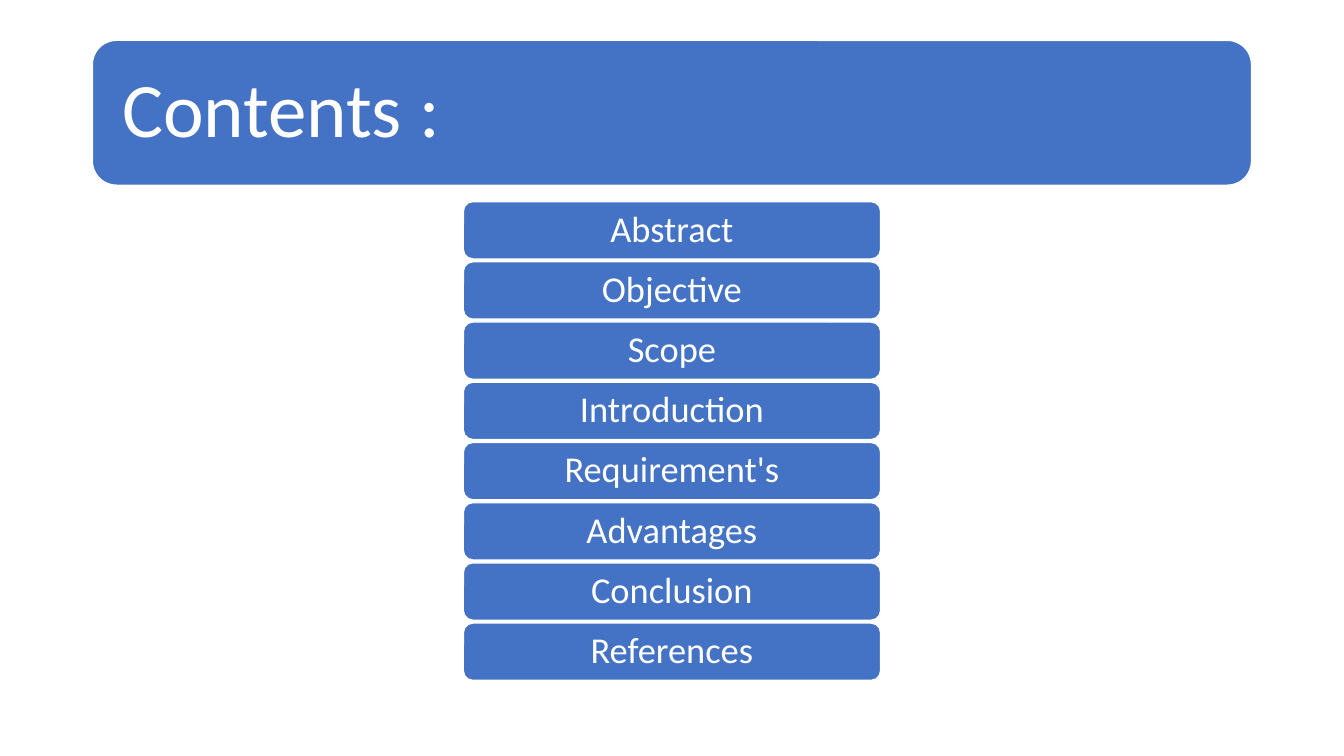
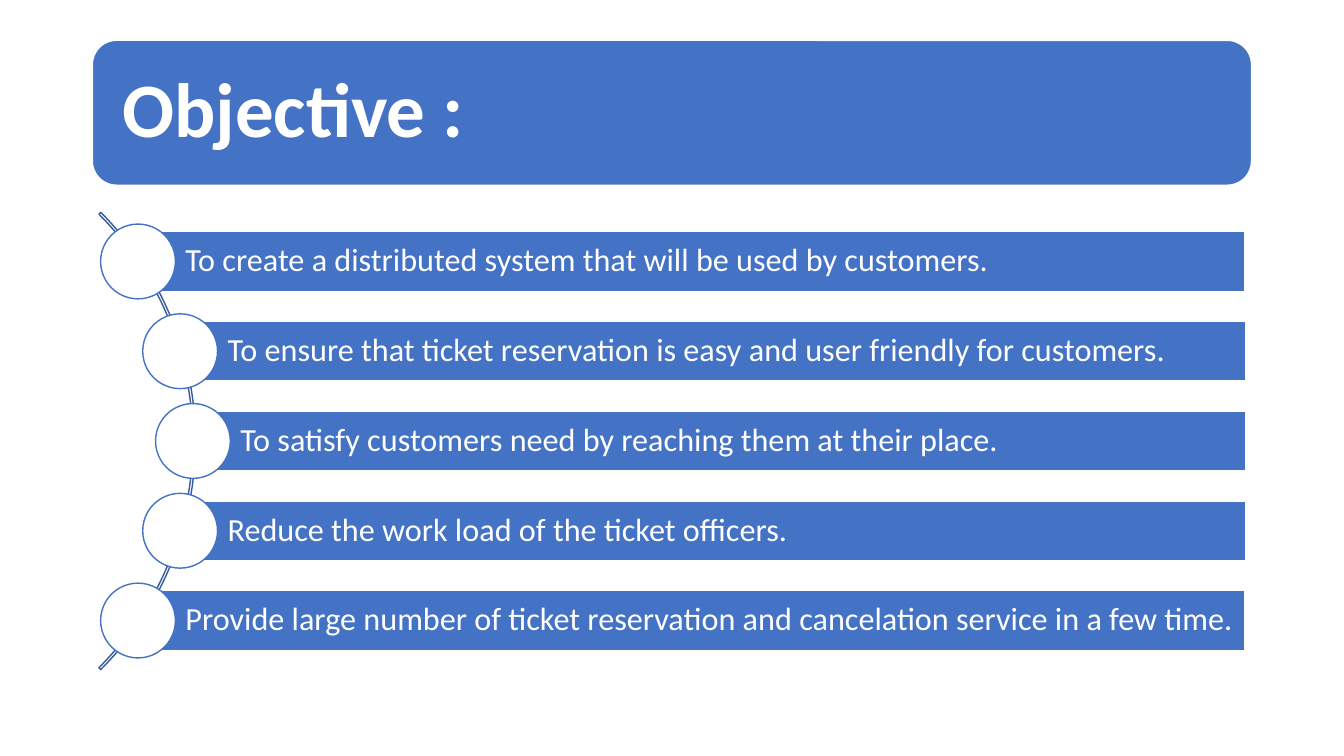
from dataclasses import dataclass
from math import sqrt

from pptx import Presentation
from pptx.dml.color import RGBColor
from pptx.enum.shapes import MSO_SHAPE
from pptx.enum.text import MSO_ANCHOR, MSO_AUTO_SIZE, PP_ALIGN
from pptx.util import Inches, Pt

ROUNDED = MSO_SHAPE.ROUNDED_RECTANGLE
RECTANGLE = MSO_SHAPE.RECTANGLE
OVAL = MSO_SHAPE.OVAL
BLOCK_ARC = MSO_SHAPE.BLOCK_ARC
MIDDLE = MSO_ANCHOR.MIDDLE
NO_AUTOFIT = MSO_AUTO_SIZE.NONE
LEFT = PP_ALIGN.LEFT
CENTER = PP_ALIGN.CENTER

BLUE = RGBColor(0x44, 0x72, 0xC4)
DARK_BLUE = RGBColor(0x36, 0x5B, 0x9D)
WHITE = RGBColor(0xFF, 0xFF, 0xFF)
FONT = "Calibri"

COLUMNS, ROWS = 160, 90
CELL = Inches(1 / 12)
TITLE_ONLY = 5

AGENDA = ["Abstract", "Objective", "Scope", "Introduction", "Requirement's",
          "Advantages", "Conclusion", "References"]
GOALS = [
    "To create a distributed system that will be used by customers.",
    "To ensure that ticket reservation is easy and user friendly for customers.",
    "To satisfy customers need by reaching them at their place.",
    "Reduce the work load of the ticket officers.",
    "Provide large number of ticket reservation and cancelation service in a few time.",
]


@dataclass
class Box:
    """An area of the slide, in columns and rows of the grid."""

    left: float
    top: float
    width: float
    height: float

    def lengths(self):
        """Return the position and size as slide lengths."""
        return [round(value * CELL)
                for value in (self.left, self.top, self.width, self.height)]


TITLE_BOX = Box(11, 4.8, 138, 17.25)
AGENDA_BOX = Box(11, 24, 138, 57)
GOALS_BOX = Box(11, 24, 137.25, 57)


def write_text(shape, text, size, bold=False, align=LEFT, insets=(0, 0, 0, 0)):
    """Write one formatted paragraph, with insets given in grid cells."""
    frame = shape.text_frame
    frame.word_wrap = True
    frame.auto_size = NO_AUTOFIT
    frame.vertical_anchor = MIDDLE
    (frame.margin_left, frame.margin_top,
     frame.margin_right, frame.margin_bottom) = [round(inset * CELL) for inset in insets]
    frame.text = text
    paragraph = frame.paragraphs[0]
    paragraph.alignment = align
    paragraph.line_spacing = 0.9
    font = paragraph.runs[0].font
    font.name, font.size, font.bold = FONT, Pt(size), bold
    font.color.rgb = WHITE


def add_shape(slide, kind, box, fill=BLUE, line=WHITE):
    """Add a flat shape with a one point outline."""
    shape = slide.shapes.add_shape(kind, *box.lengths())
    shape.shadow.inherit = False
    if fill is None:
        shape.fill.background()
    else:
        shape.fill.solid()
        shape.fill.fore_color.rgb = fill
    shape.line.color.rgb = line
    shape.line.width = Pt(1)
    return shape


def add_titled_slide(presentation, text, box=TITLE_BOX, bold=False):
    """Add a slide whose title stands on a rounded band."""
    slide = presentation.slides.add_slide(presentation.slide_layouts[TITLE_ONLY])
    title = slide.shapes.title
    band = add_shape(slide, ROUNDED, box)
    title._element.addprevious(band._element)
    title.left, title.top, title.width, title.height = box.lengths()
    write_text(title, text, 55, bold=bold, insets=(3.55, 0, 3.55, 0))
    return slide


def add_agenda(slide, box, topics):
    """Stack centred rounded bars that fill the height of the box."""
    gap_share, width_share = 0.05, 0.36
    count = len(topics)
    height = box.height / (count + (count - 1) * gap_share)
    width = box.width * width_share
    left = box.left + (box.width - width) / 2
    for index, topic in enumerate(topics):
        top = box.top + index * height * (1 + gap_share)
        bar = add_shape(slide, ROUNDED, Box(left, top, width, height))
        write_text(bar, topic, 26, align=CENTER)


def add_curved_list(slide, box, goals):
    """Place bars with round markers along an arc left of the box."""
    radius = 0.67 * box.height
    outer = radius + 0.3
    center_x = box.left - 0.46 * box.height
    center_y = box.top + box.height / 2
    arc = add_shape(slide, BLOCK_ARC,
                    Box(center_x - outer, center_y - outer, 2 * outer, 2 * outer),
                    fill=None, line=DARK_BLUE)
    for index, value in enumerate((189, 27, 0.004)):
        arc.adjustments[index] = value

    bar_height = box.height / 8
    marker = 1.25 * bar_height
    pitch = 1.5 * bar_height
    for index, goal in enumerate(goals):
        offset = (index - (len(goals) - 1) / 2) * pitch
        x = center_x + sqrt(radius ** 2 - offset ** 2)
        y = center_y + offset
        bar = add_shape(slide, RECTANGLE, Box(x, y - bar_height / 2,
                                              box.left + box.width - x, bar_height))
        write_text(bar, goal, 23, insets=(5.65, 0.7, 0.7, 0.7))
        add_shape(slide, OVAL, Box(x - marker / 2, y - marker / 2, marker, marker),
                  fill=WHITE, line=BLUE)


def main():
    """Build and save the presentation."""
    presentation = Presentation()
    presentation.slide_width = COLUMNS * CELL
    presentation.slide_height = ROWS * CELL
    contents = add_titled_slide(presentation, "Contents :")
    add_agenda(contents, AGENDA_BOX, AGENDA)
    objective = add_titled_slide(presentation, "Objective :", bold=True)
    add_curved_list(objective, GOALS_BOX, GOALS)
    presentation.save("out.pptx")


if __name__ == "__main__":
    main()
